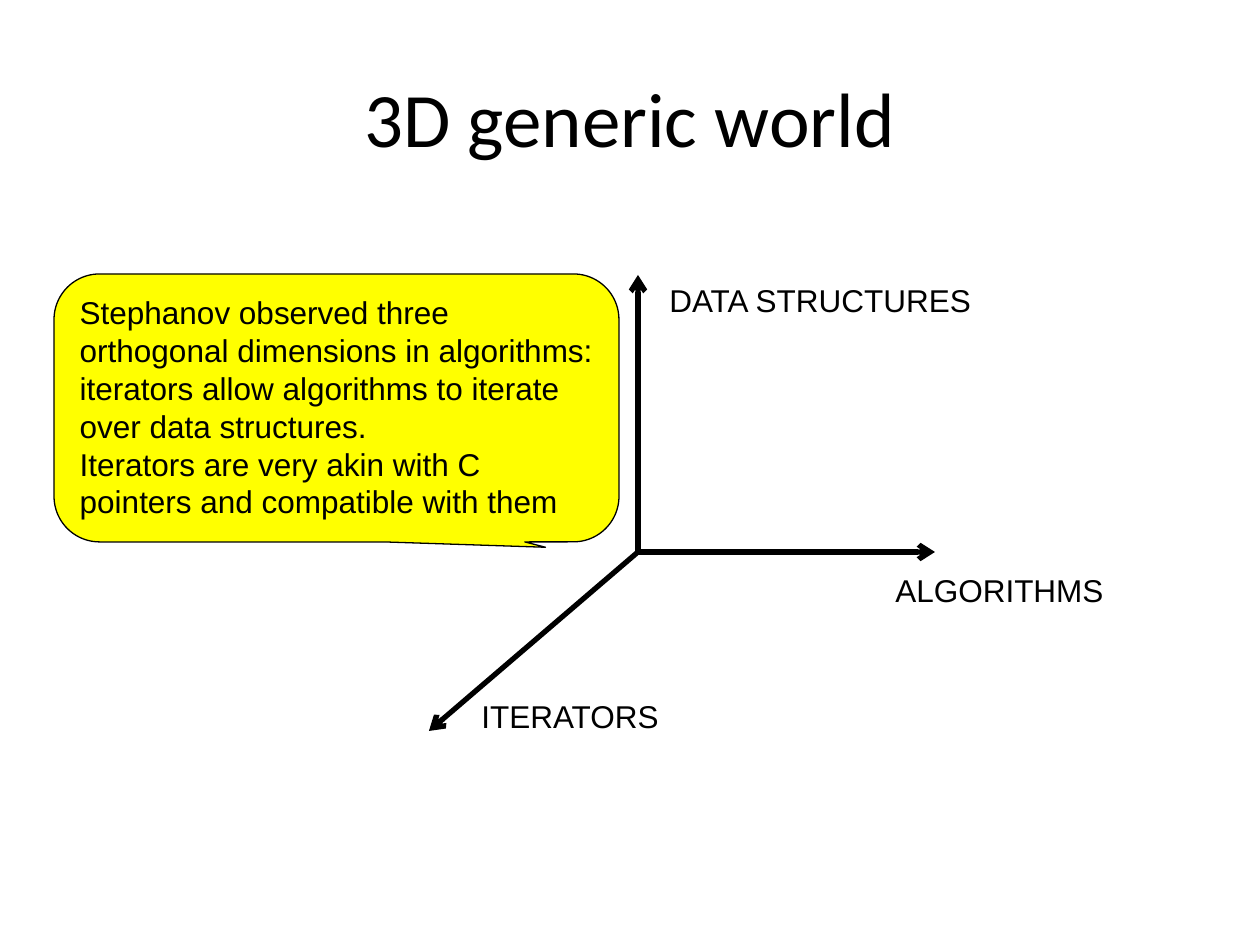
from lxml.etree import SubElement
from pptx import Presentation
from pptx.dml.color import RGBColor
from pptx.enum.shapes import MSO_CONNECTOR, MSO_SHAPE
from pptx.enum.text import MSO_ANCHOR, MSO_AUTO_SIZE, PP_ALIGN
from pptx.oxml.ns import qn
from pptx.util import Pt

PX = 914400 // 126
BLACK = "000000"
YELLOW = "FFFF00"


def px(*lengths):
    return [round(n * PX) for n in lengths]


def color(hex_code):
    return RGBColor.from_string(hex_code)


def write(sp, *paragraphs, size=18, font="Arial", fill=BLACK, align=PP_ALIGN.LEFT,
          anchor=MSO_ANCHOR.TOP, wrap=True, grow=False):
    tf = sp.text_frame
    tf.word_wrap = wrap
    tf.auto_size = MSO_AUTO_SIZE.SHAPE_TO_FIT_TEXT if grow else MSO_AUTO_SIZE.NONE
    tf.vertical_anchor = anchor
    for i, text in enumerate(paragraphs):
        p = tf.paragraphs[0] if i == 0 else tf.add_paragraph()
        p.alignment = align
        r = p.add_run()
        r.text = text
        r.font.size = Pt(size)
        r.font.name = font
        r.font.color.rgb = color(fill)


def add_title(s, box, text):
    sp = s.shapes.add_textbox(*px(*box))
    write(sp, text, size=44, font="Calibri", align=PP_ALIGN.CENTER,
          anchor=MSO_ANCHOR.MIDDLE)


def add_callout(s, box, *paragraphs):
    sp = s.shapes.add_shape(MSO_SHAPE.ROUNDED_RECTANGULAR_CALLOUT, *px(*box))
    sp.shadow.inherit = False
    for i, value in enumerate((0.37, 0.52, 0.17)):
        sp.adjustments[i] = value
    sp.fill.solid()
    sp.fill.fore_color.rgb = color(YELLOW)
    sp.line.color.rgb = color(BLACK)
    sp.line.width = Pt(0.75)
    write(sp, *paragraphs)


def add_arrow(s, start, end):
    line = s.shapes.add_connector(MSO_CONNECTOR.STRAIGHT, *px(*start, *end))
    line.line.color.rgb = color(BLACK)
    line.line.width = Pt(3)
    SubElement(line.line._get_or_add_ln(), qn("a:tailEnd"), type="arrow")
    SubElement(line._element.spPr, qn("a:effectLst"))


def add_axes(s, box):
    """Draw three labelled axes from a shared origin inside the box."""
    left, top, width, height = box
    origin = (left + 209, top + 277)
    axes = [
        ("ITERATORS", (left, top + height), (40, 416, 208)),
        ("ALGORITHMS", (left + width, origin[1]), (454, 290, 240)),
        ("DATA STRUCTURES", (origin[0], top), (228, 0, 337)),
    ]
    for label, tip, (dx, dy, label_width) in axes:
        add_arrow(s, origin, tip)
        sp = s.shapes.add_textbox(*px(left + dx, top + dy, label_width, 50))
        write(sp, label, wrap=False, grow=True)


def main():
    prs = Presentation()
    prs.slide_width, prs.slide_height = px(1260, 945)
    s = prs.slides.add_slide(prs.slide_layouts[6])
    add_title(s, (63, 38, 1134, 157), "3D generic world")
    add_axes(s, (429, 275, 506, 456))
    add_callout(
        s, (54, 274, 565, 268),
        "Stephanov observed three orthogonal dimensions in algorithms: "
        "iterators allow algorithms to iterate over data structures.",
        "Iterators are very akin with C pointers and compatible with them",
    )
    prs.save("out.pptx")


if __name__ == "__main__":
    main()
